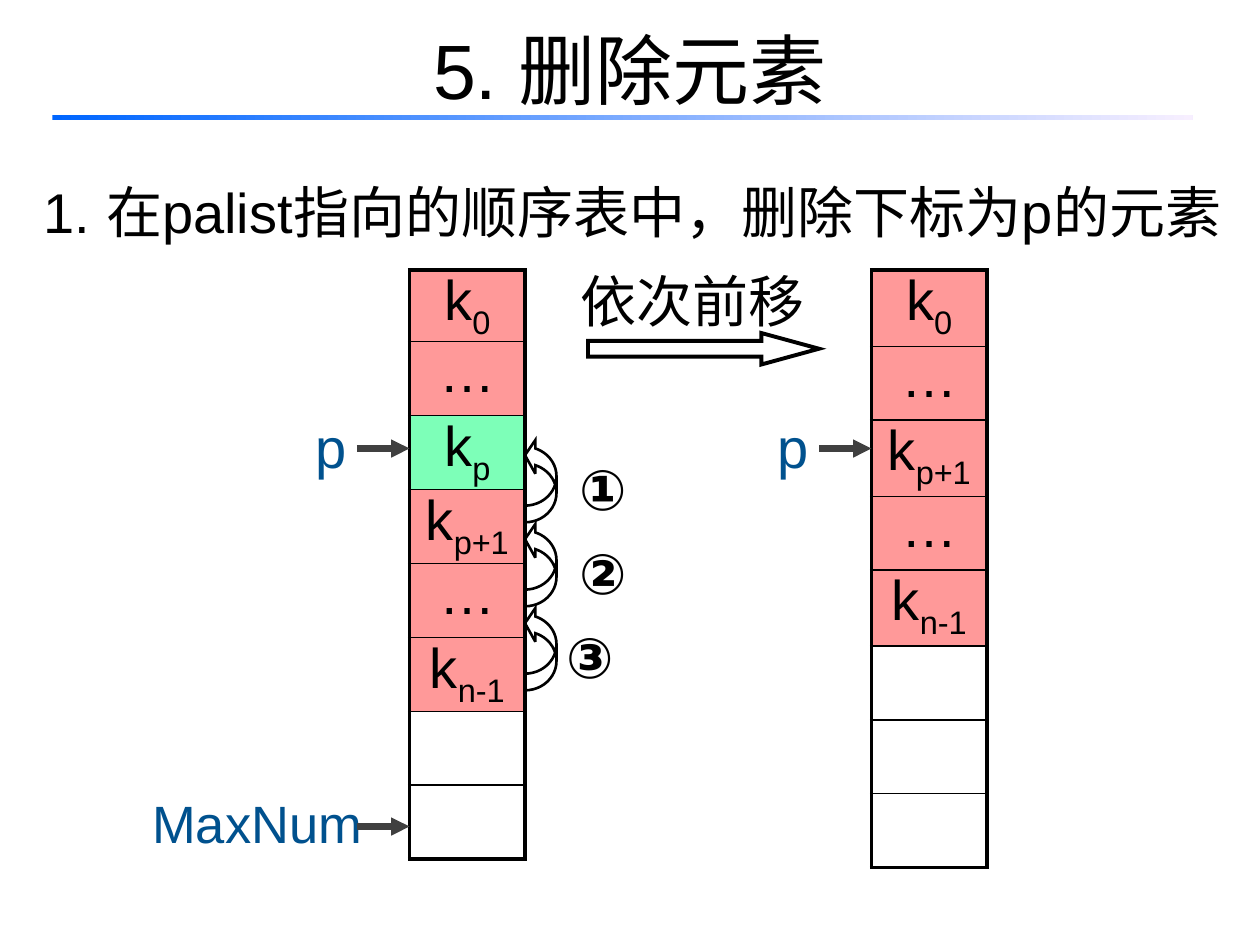
from lxml import etree
from pptx import Presentation
from pptx.dml.color import RGBColor
from pptx.enum.shapes import MSO_CONNECTOR, MSO_SHAPE
from pptx.enum.text import MSO_ANCHOR, MSO_AUTO_SIZE, PP_ALIGN
from pptx.oxml import parse_xml
from pptx.oxml.ns import nsdecls, qn
from pptx.util import Pt

BLACK = RGBColor(0, 0, 0)
NAVY = RGBColor(0x00, 0x51, 0x8E)
GREY = RGBColor(0x40, 0x40, 0x40)
PINK = RGBColor(0xFF, 0x99, 0x99)
GREEN = RGBColor(0x7D, 0xFF, 0xB8)
BAR_START = RGBColor(0x00, 0x66, 0xFF)
BAR_END = RGBColor(0xF7, 0xEF, 0xFF)


def write(tf, text, sub="", size=32, color=BLACK, font="Arial", bold=False,
          align=PP_ALIGN.CENTER):
    """Fill the first paragraph with text and an optional subscript."""
    p = tf.paragraphs[0]
    p.alignment = align
    for part, baseline in ((text, None), (sub, "-25000")):
        if not part:
            continue
        r = p.add_run()
        r.text = part
        r.font.name, r.font.size, r.font.bold = font, Pt(size), bold
        r.font.color.rgb = color
        if baseline:
            r.font._element.set("baseline", baseline)
    return p


def set_borders(cell, **widths):
    tcPr = cell._tc.get_or_add_tcPr()
    for i, side in enumerate("LRTB"):
        tcPr.insert(i, parse_xml(
            f'<a:ln{side} {nsdecls("a")} w="{Pt(widths[side])}"><a:solidFill>'
            f'<a:srgbClr val="{BLACK}"/></a:solidFill></a:ln{side}>'))


class SlideBuilder:
    def __init__(self, slide):
        self.s = slide
        self.thin, self.thick = 1, 2.25

    def place(self, sp, x, y, w, h):
        sp.left, sp.top, sp.width, sp.height = Pt(x), Pt(y), Pt(w), Pt(h)

    def title(self, text, *box):
        sp = self.s.shapes.title
        self.place(sp, *box)
        tf = sp.text_frame
        tf.auto_size = MSO_AUTO_SIZE.NONE
        tf.vertical_anchor = MSO_ANCHOR.MIDDLE
        write(tf, text, size=44)

    def body(self, text, *box):
        sp = self.s.placeholders[1]
        self.place(sp, *box)
        tf = sp.text_frame
        tf.auto_size = MSO_AUTO_SIZE.NONE
        pPr = tf.paragraphs[0]._p.get_or_add_pPr()
        pPr.set("marL", str(Pt(27)))
        pPr.set("indent", str(Pt(-27)))
        etree.SubElement(pPr, qn("a:buNone"))
        p = write(tf, text, align=PP_ALIGN.LEFT)
        p.line_spacing = 1.2
        p.space_before = Pt(0)

    def label(self, text, x, y, w, h=46, **fmt):
        tf = self.s.shapes.add_textbox(Pt(x), Pt(y), Pt(w), Pt(h)).text_frame
        tf.word_wrap = True
        write(tf, text, **fmt)

    def array(self, x, y, heights, cells):
        """Draw a one-column table; each cell is (text, subscript, fill)."""
        frame = self.s.shapes.add_table(len(cells), 1, Pt(x), Pt(y),
                                        Pt(66), Pt(sum(heights)))
        table = frame.table
        table.first_row = table.horz_banding = False
        last = len(cells) - 1
        for i, (text, sub, fill) in enumerate(cells):
            table.rows[i].height = Pt(heights[i])
            cell = table.cell(i, 0)
            cell.margin_left = cell.margin_right = 0
            cell.margin_top = cell.margin_bottom = 0
            if fill:
                cell.fill.solid()
                cell.fill.fore_color.rgb = fill
            else:
                cell.fill.background()
            write(cell.text_frame, text, sub)
            set_borders(cell, L=self.thick, R=self.thick,
                        T=self.thin if i else self.thick,
                        B=self.thin if i < last else self.thick)

    def pointer(self, x1, x2, y):
        c = self.s.shapes.add_connector(MSO_CONNECTOR.STRAIGHT,
                                        Pt(x1), Pt(y), Pt(x2), Pt(y))
        c.line.width = Pt(3.5)
        c.line.color.rgb = GREY
        ln = c.line._get_or_add_ln()
        etree.SubElement(ln, qn("a:tailEnd"), type="triangle")
        etree.SubElement(c._element.spPr, qn("a:effectLst"))

    def block_arrow(self, kind, x, y, w, h, adjustments, width, flip=False):
        sp = self.s.shapes.add_shape(kind, Pt(x), Pt(y), Pt(w), Pt(h))
        sp.shadow.inherit = False
        for i, value in enumerate(adjustments):
            sp.adjustments[i] = value
        sp.fill.background()
        sp.line.color.rgb = BLACK
        sp.line.width = Pt(width)
        etree.SubElement(sp.line._get_or_add_ln(), qn("a:miter"), lim="800000")
        if flip:
            sp._element.spPr.xfrm.set("flipV", "1")

    def gradient_bar(self, *box):
        sp = self.s.shapes.add_shape(MSO_SHAPE.RECTANGLE, *map(Pt, box))
        sp.shadow.inherit = False
        sp.line.fill.background()
        sp.fill.gradient()
        sp.fill.gradient_angle = 0
        for stop, color in zip(sp.fill.gradient_stops, (BAR_START, BAR_END)):
            stop.color.rgb = color


def main():
    prs = Presentation()
    prs.slide_width, prs.slide_height = Pt(720), Pt(540)
    b = SlideBuilder(prs.slides.add_slide(prs.slide_layouts[1]))

    b.title("5. 删除元素", 36, -6, 648, 90)
    b.gradient_bar(30, 65.8, 651.6, 3)
    b.body("1. 在palist指向的顺序表中，删除下标为p的元素", 17.8, 90, 690, 54)

    first, dots = ("k", "0", PINK), ("…", "", PINK)
    following, final = ("k", "p+1", PINK), ("k", "n-1", PINK)
    empty = ("", "", None)
    before_x, after_x, top = 234, 498, 154.3
    before = [first, dots, ("k", "p", GREEN), following, dots, final, empty, empty]
    after = [first, dots, following, dots, final, empty, empty, empty]
    b.array(before_x, top, [40.9] + [42.25] * 7, before)
    b.array(after_x, top, [43.6 if sub else 42.1 for _, sub, _ in after], after)

    for x in (before_x, after_x):
        b.label("p", x - 89.5, 232.2, 89.5, color=NAVY)
        b.pointer(x - 30, x, 256.3)
    b.label("MaxNum", 66, 448.5, 162, 44, size=30, color=NAVY)
    b.pointer(before_x - 30, before_x, 472.3)

    for i, (number, x) in enumerate((("①", 324), ("②", 324), ("③", 316.5))):
        b.block_arrow(MSO_SHAPE.CURVED_LEFT_ARROW, 300, 250.5 + 48 * i, 18, 48,
                      (0.53, 1.07, 0.33), 1.5, flip=True)
        b.label(number, x, 256.3 + 48 * i, 36, bold=True)

    b.label("依次前移", 324, 148.5, 144, font="Times New Roman")
    b.block_arrow(MSO_SHAPE.RIGHT_ARROW, 336, 190.3, 132, 18, (0.5, 1.83), 2.25)

    prs.save("out.pptx")


if __name__ == "__main__":
    main()
